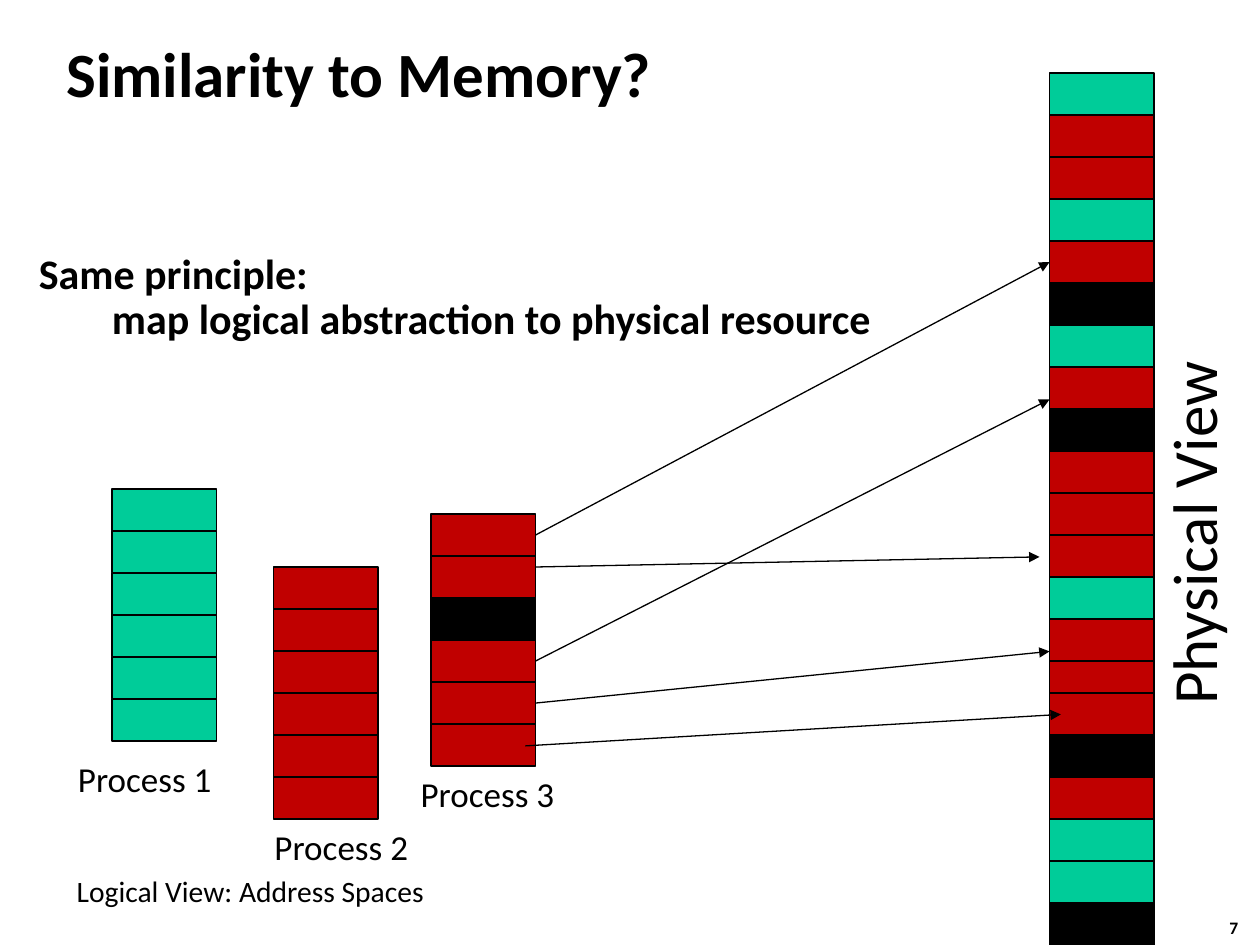
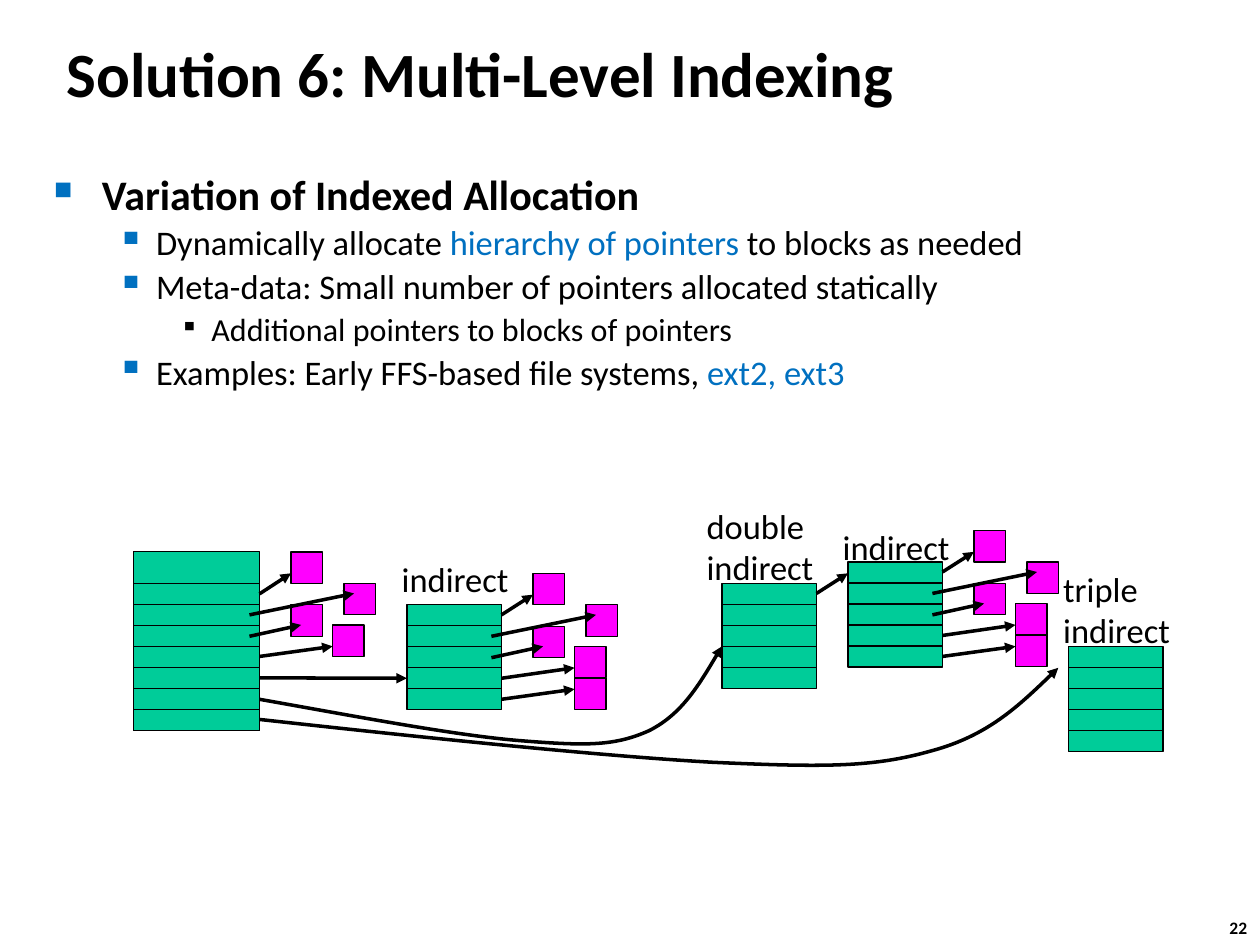
from lxml.etree import SubElement
from pptx import Presentation
from pptx.dml.color import RGBColor
from pptx.enum.shapes import MSO_CONNECTOR as Connector, MSO_SHAPE as Shape
from pptx.enum.text import MSO_ANCHOR as Anchor, MSO_AUTO_SIZE as AutoSize
from pptx.oxml.ns import qn
from pptx.util import Inches, Pt

COLORS = {"black": "000000", "green": "00CC99", "red": "C00000",
          "magenta": "FF00FF", "blue": "0070C0"}
FONT = "Calibri"

# Memory cells: one letter per cell in a column
CELL_COLORS = {"G": "green", "R": "red", "K": "black"}
CELL_WIDTH, CELL_HEIGHT = 0.83, 1 / 3

# Index blocks and the data blocks that fan out of them
ROW = 1 / 6
DATA_SIZE = 0.25
FAN_SQUARES = [(0.25, -0.25), (0.67, 0), (0.25, 0.17), (0.58, 0.33), (0.58, 0.58)]
FAN_ARROWS = [((0, 0.08), (0.25, -0.08)), ((-0.08, 0.25), (0.75, 0.08)),
              ((-0.08, 0.42), (0.33, 0.33)), ((0, 0.58), (0.58, 0.5)),
              ((0, 0.75), (0.58, 0.67))]

# Text levels: size, bold, left indent, hanging, bullet, bullet colour, bullet percent
LEVELS = [(24, True, 0.38, 0.38, "■", "blue", 60),
          (19.7, False, 0.81, 0.31, "▪", "blue", 110),
          (18.3, False, 1.25, 0.25, "▪", "black", 80)]


def rgb(name):
    return RGBColor.from_string(COLORS[name])


class SlideWriter:
    def __init__(self, deck):
        self.deck = deck
        self.page = None

    def new_page(self, title, number):
        self.page = self.deck.slides.add_slide(self.deck.slide_layouts[6])
        self.label(number, 9.66, 7.23, 0.37, 0.27, 10, bold=True)
        frame = self.frame(0.43, 0.16, 8.3, 0.83)
        frame.vertical_anchor = Anchor.MIDDLE
        self.fill_paragraph(frame.paragraphs[0], [(title, "black")], 36, True)

    # Text
    def frame(self, left, top, width, height, rotation=0, wrap=True):
        box = self.page.shapes.add_textbox(
            Inches(left), Inches(top), Inches(width), Inches(height))
        box.rotation = rotation
        frame = box.text_frame
        frame.word_wrap = wrap
        frame.auto_size = AutoSize.NONE if wrap else AutoSize.SHAPE_TO_FIT_TEXT
        return frame

    def fill_paragraph(self, para, spans, size, bold=False):
        for text, color in spans:
            first_new = len(para.runs)
            if len(spans) == 1:
                para.text = text
            else:
                para.add_run().text = text
            for span in para.runs[first_new:]:
                font = span.font
                font.name, font.size, font.bold = FONT, Pt(size), bold
                font.color.rgb = rgb(color)

    def label(self, text, left, top, width, height, size, bold=False, rotation=0):
        frame = self.frame(left, top, width, height, rotation, wrap=False)
        self.fill_paragraph(frame.paragraphs[0], [(text, "black")], size, bold)

    def hang(self, para, left, hanging):
        properties = para._p.get_or_add_pPr()
        properties.set("marL", str(Inches(left)))
        properties.set("indent", str(-Inches(hanging)))
        return properties

    def statement(self, text, left, top, width, height, indent):
        para = self.frame(left, top, width, height).paragraphs[0]
        self.hang(para, indent, indent)
        para.line_spacing = 0.9
        self.fill_paragraph(para, [(text, "black")], 24, True)

    def bullets(self, items, left, top, width, height):
        frame = self.frame(left, top, width, height)
        for index, (level, spans) in enumerate(items):
            size, bold, indent, hanging, mark, color, percent = LEVELS[level]
            para = frame.add_paragraph() if index else frame.paragraphs[0]
            para.level = level
            properties = self.hang(para, indent, hanging)
            bullet_color = SubElement(properties, qn("a:buClr"))
            SubElement(bullet_color, qn("a:srgbClr"), val=COLORS[color])
            SubElement(properties, qn("a:buSzPct"), val=str(percent * 1000))
            SubElement(properties, qn("a:buChar"), char=mark)
            para.line_spacing = 0.9
            if index:
                para.space_before = Pt(round(size * 0.2, 1))
            self.fill_paragraph(para, spans, size, bold)

    # Rectangles
    def rect(self, left, top, width, height, color):
        box = self.page.shapes.add_shape(
            Shape.RECTANGLE, Inches(left), Inches(top), Inches(width), Inches(height))
        box.shadow.inherit = False
        box.fill.solid()
        box.fill.fore_color.rgb = rgb(color)
        box.line.color.rgb = rgb("black")
        box.line.width = Pt(0.75)
        return box

    def cell_column(self, left, top, letters):
        return [self.rect(left, top + row * CELL_HEIGHT, CELL_WIDTH, CELL_HEIGHT,
                          CELL_COLORS[letter])
                for row, letter in enumerate(letters)]

    def index_block(self, left, top, width=0.75, header=ROW, rows=4):
        self.rect(left, top, width, header + rows * ROW, "green")
        return [self.rect(left, top + header + row * ROW, width, ROW, "green")
                for row in range(0, rows, 2)]

    # Lines
    def style_line(self, line, width):
        line.color.rgb = rgb("black")
        line.width = Pt(width)
        SubElement(line._get_or_add_ln(), qn("a:tailEnd"), type="triangle")

    def arrow(self, start, end, width, source=None, target=None):
        link = self.page.shapes.add_connector(
            Connector.STRAIGHT, *(Inches(value) for value in (*start, *end)))
        SubElement(link._element.spPr, qn("a:effectLst"))
        if source is not None:
            link.begin_connect(source, 3)
        if target is not None:
            link.end_connect(target, 1)
        self.style_line(link.line, width)

    def curved_arrow(self, points):
        start, *rest = [(Inches(x), Inches(y)) for x, y in points]
        builder = self.page.shapes.build_freeform(*start)
        builder.add_line_segments(rest, close=False)
        curve = builder.convert_to_shape()
        # Every three straight segments become one cubic curve
        outline = curve._element.find(".//" + qn("a:path"))
        for index, segment in enumerate(list(outline)[1:]):
            if index % 3 == 0:
                cubic = SubElement(outline, qn("a:cubicBezTo"))
            cubic.append(segment[0])
            outline.remove(segment)
        curve.shadow.inherit = False
        curve.fill.background()
        self.style_line(curve.line, 2)

    def fan(self, right, top, count, sources):
        for x, y in FAN_SQUARES[:count]:
            self.rect(right + x, top + y, DATA_SIZE, DATA_SIZE, "magenta")
        for index, (start, end) in enumerate(FAN_ARROWS[:count]):
            self.arrow((right + start[0], top + start[1]),
                       (right + end[0], top + end[1]), 2, sources.get(index))


def memory_page(writer):
    writer.new_page("Similarity to Memory?", "7")
    writer.statement("Same principle: \vmap logical abstraction to physical resource",
                     0.21, 1.96, 7.92, 0.83, 0.58)

    # Logical view
    writer.cell_column(0.89, 3.88, "GGGGGG")
    writer.cell_column(2.17, 4.5, "RRRRRR")
    process = writer.cell_column(3.42, 4.08, "RRKRRR")
    for number, (left, top) in enumerate([(0.52, 5.96), (2.08, 6.5), (3.24, 6.08)], 1):
        writer.label(f"Process {number}", left, top, 1.29, 0.44, 20)
    writer.label("Logical View: Address Spaces", 0.51, 6.88, 3.01, 0.38, 16.9)

    # Physical view
    memory = writer.cell_column(8.33, 0.58, "GRRGRKGRKRRRGRR")
    writer.cell_column(8.33, 5.5, "RKRGGK")
    writer.label("Physical View", 8, 3.87, 2.93, 0.71, 36, rotation=270)

    # Mapping
    for start, end, source, target in [
            ((4.25, 4.25), (8.33, 2.08), process[0], memory[4]),
            ((4.25, 4.5), (8.25, 4.42), None, None),
            ((4.25, 5.58), (8.33, 5.17), process[4], None),
            ((4.17, 5.92), (8.42, 5.67), None, None),
            ((4.25, 5.25), (8.33, 3.17), process[3], None)]:
        writer.arrow(start, end, 0.75, source, target)


def indexing_page(writer):
    writer.new_page("Solution 6: Multi-Level Indexing", "22")
    writer.bullets([
        (0, [("Variation of Indexed Allocation", "black")]),
        (1, [("Dynamically allocate ", "black"), ("hierarchy of pointers ", "blue"),
             ("to blocks as needed", "black")]),
        (1, [("Meta-data: Small number of pointers allocated statically", "black")]),
        (2, [("Additional pointers to blocks of pointers", "black")]),
        (1, [("Examples: Early FFS-based file systems, ", "black"),
             ("ext2, ext3", "blue")]),
    ], 0.33, 1.33, 9.25, 1.92)

    # Index blocks
    inode = writer.index_block(1.06, 4.38, 1, 0.25, 7)
    single = writer.index_block(3.23, 4.8)
    writer.index_block(5.73, 4.63)
    nested = writer.index_block(6.73, 4.46)
    writer.index_block(8.48, 5.13)

    # Data blocks
    writer.fan(2.06, 4.63, 4, {0: inode[0]})
    writer.fan(3.98, 4.8, 5, {3: single[1]})
    writer.fan(7.48, 4.46, 5, {3: nested[1]})

    # Pointers between index blocks
    writer.arrow((2.06, 5.38), (3.23, 5.38), 2, inode[2], single[1])
    writer.arrow((6.48, 4.71), (6.73, 4.55), 2)
    writer.curved_arrow([(2.06, 5.55), (2.85, 5.69), (3.63, 5.84), (4.15, 5.88),
                         (4.66, 5.92), (4.88, 5.92), (5.15, 5.8),
                         (5.41, 5.67), (5.57, 5.4), (5.73, 5.13)])
    writer.curved_arrow([(2.06, 5.71), (3.42, 5.86), (4.77, 6), (5.66, 6.05),
                         (6.55, 6.09), (6.93, 6.09), (7.39, 5.96),
                         (7.84, 5.84), (8.12, 5.57), (8.4, 5.3)])

    # Labels
    for text, left, top, height in [
            ("indirect", 3.09, 4.38, 0.43), ("double\vindirect", 5.51, 3.96, 0.76),
            ("indirect", 6.59, 4.13, 0.43), ("triple\vindirect", 8.34, 4.46, 0.76)]:
        writer.label(text, left, top, 1.06, height, 19.7)


def main():
    deck = Presentation()
    deck.slide_width, deck.slide_height = Inches(10), Inches(7.5)
    writer = SlideWriter(deck)
    memory_page(writer)
    indexing_page(writer)
    deck.save("out.pptx")


if __name__ == "__main__":
    main()
